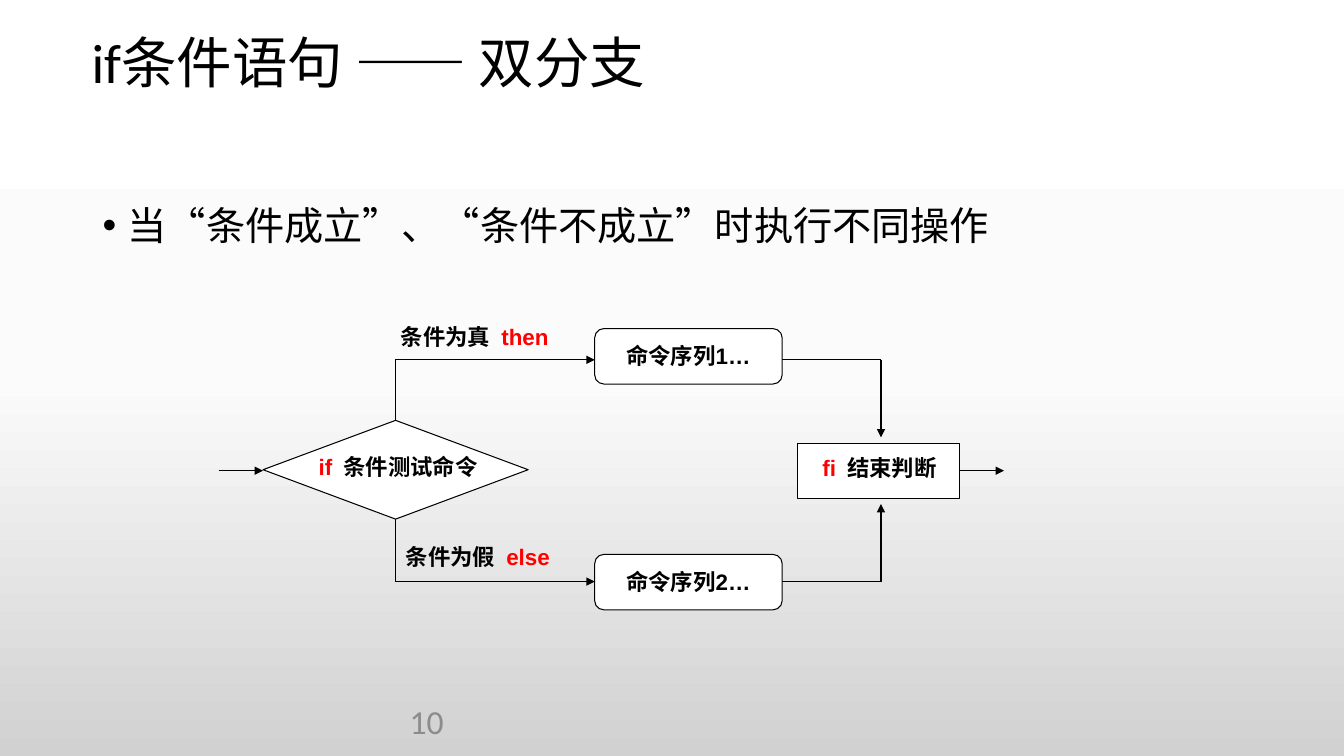
from copy import deepcopy
from dataclasses import dataclass

from lxml.etree import SubElement
from pptx import Presentation
from pptx.dml.color import RGBColor
from pptx.enum.lang import MSO_LANGUAGE_ID
from pptx.enum.shapes import MSO_CONNECTOR, MSO_SHAPE
from pptx.enum.text import MSO_ANCHOR, PP_ALIGN
from pptx.oxml.ns import qn
from pptx.util import Inches, Pt

# Grid: one column or row is a tenth of an inch
CELL = Inches(0.1)
COLUMNS, ROWS = 133.33, 75


@dataclass(frozen=True)
class Theme:
    ink: str = "000000"
    keyword: str = "FF0000"
    muted: str = "8C8C8C"
    paper: str = "FFFFFF"
    backdrop: tuple = ((0, "FFFFFF"), (0.5, "FBFBFB"), (1, "D1D1D1"))
    text_font: str = "Calibri"
    chart_font: str = "Arial"
    title: float = 39.6
    body: float = 28
    number: float = 24
    node: float = 16
    line: float = 0.75


THEME = Theme()


@dataclass(frozen=True)
class Box:
    left: float
    top: float
    width: float
    height: float

    def inner(self, left, top, width, height):
        return Box(self.left + left, self.top + top, width, height)

    def point(self, column, row):
        return cells(self.left + column), cells(self.top + row)

    def emu(self):
        return [cells(side) for side in (self.left, self.top, self.width, self.height)]


def cells(count):
    return round(count * CELL)


def add_text(page, box, spans, size, font=THEME.text_font, bold=False,
             align=PP_ALIGN.LEFT, anchor=MSO_ANCHOR.TOP, spacing=None, wrap=True):
    """Add one paragraph; spans is a list of (text, colour) pairs."""
    frame = page.shapes.add_textbox(*box.emu()).text_frame
    frame.word_wrap = wrap
    frame.vertical_anchor = anchor
    para = frame.paragraphs[0]
    para.alignment = align
    para.line_spacing = spacing
    for text, colour in spans:
        span = para.add_run()
        span.text = text
        span.font.name = font
        span.font.size = Pt(size)
        span.font.bold = bold
        span.font.color.rgb = RGBColor.from_string(colour)
        span.font.language_id = MSO_LANGUAGE_ID.SIMPLIFIED_CHINESE
    return para


def add_label(page, box, *spans):
    add_text(page, box, spans, THEME.node, font=THEME.chart_font, bold=True,
             align=PP_ALIGN.CENTER, wrap=False)


def add_node(page, box, kind):
    node = page.shapes.add_shape(kind, *box.emu())
    node.shadow.inherit = False
    node.fill.solid()
    node.fill.fore_color.rgb = RGBColor.from_string(THEME.paper)
    node.line.color.rgb = RGBColor.from_string(THEME.ink)
    node.line.width = Pt(THEME.line)


def add_route(page, box, *points):
    """Join the points with straight lines; the last one gets an arrowhead."""
    for start, end in zip(points, points[1:]):
        link = page.shapes.add_connector(
            MSO_CONNECTOR.STRAIGHT, *box.point(*start), *box.point(*end))
        link.line.color.rgb = RGBColor.from_string(THEME.ink)
        link.line.width = Pt(THEME.line)
        properties = link.element.spPr
        if end == points[-1]:
            SubElement(properties.find(qn("a:ln")), qn("a:tailEnd"), type="triangle")
        SubElement(properties, qn("a:effectLst"))


def paint_background(page):
    fill = page.background.fill
    fill.gradient()
    fill.gradient_angle = 270
    stop_list = next(page.element.iter(qn("a:gsLst")))
    stop_list.append(deepcopy(stop_list[-1]))
    for stop, (position, colour) in zip(fill.gradient_stops, THEME.backdrop):
        stop.position = position
        stop.color.rgb = RGBColor.from_string(colour)


def add_title(page, box):
    add_text(page, box, [("if条件语句 —— 双分支", THEME.ink)], THEME.title,
             anchor=MSO_ANCHOR.MIDDLE, spacing=0.9)


def add_body(page, box):
    para = add_text(page, box, [("当“条件成立”、“条件不成立”时执行不同操作", THEME.ink)],
                    THEME.body, spacing=0.9)
    para.space_before = Pt(10)
    properties = para._p.get_or_add_pPr()
    properties.set("marL", str(Inches(0.25)))
    properties.set("indent", str(-Inches(0.25)))
    SubElement(properties, qn("a:buFont"), typeface="Arial")
    SubElement(properties, qn("a:buChar"), char="•")


def add_flow(page, box):
    split, merge, middle = 17.5, 65.7, 15.1
    command, command_width, node_height, text_height = 37.3, 18.6, 5.5, 3.7

    # Two branches: row of the line, row where it meets the end node,
    # command top, label place and wording
    branches = (
        (4.1, 11.8, 1, (16.1, 0), "条件为真", "then", "命令序列1…"),
        (26.1, 18.4, 23.4, (16.4, 21.8), "条件为假", "else", "命令序列2…"),
    )
    for row, landing, top, place, condition, keyword, text in branches:
        add_route(page, box, (split, middle), (split, row), (command, row))
        add_route(page, box, (command + command_width, row), (merge, row), (merge, landing))
        add_node(page, box.inner(command, top, command_width, node_height),
                 MSO_SHAPE.FLOWCHART_ALTERNATE_PROCESS)
        add_label(page, box.inner(command, top + 0.9, command_width, text_height),
                  (text, THEME.ink))
        add_label(page, box.inner(*place, 18.6, text_height),
                  (condition + "\u2002", THEME.ink), (keyword, THEME.keyword))

    # Test and end of the statement
    add_node(page, box.inner(4.4, 10.1, 26.3, 9.8), MSO_SHAPE.FLOWCHART_DECISION)
    add_label(page, box.inner(6.4, 12.9, 22.8, text_height),
              ("if\u2002", THEME.keyword), ("条件测试命令", THEME.ink))
    add_node(page, box.inner(57.4, 12.4, 16.1, node_height), MSO_SHAPE.FLOWCHART_PROCESS)
    add_label(page, box.inner(58.5, 13, 14.1, text_height),
              ("fi\u2002", THEME.keyword), ("结束判断", THEME.ink))

    # Way in and way out
    for start, end in ((0, 4.4), (73.5, 77.9)):
        add_route(page, box, (start, middle), (end, middle))


def add_number(page, box):
    add_text(page, box, [("10", THEME.muted)], THEME.number,
             align=PP_ALIGN.RIGHT, anchor=MSO_ANCHOR.MIDDLE)


def build_branch_slide(deck, box):
    page = deck.slides.add_slide(deck.slide_layouts[6])
    paint_background(page)
    add_number(page, box.inner(21.7, 69.5, 23.3, 4))
    add_title(page, box.inner(8.1, 3.5, 63.4, 6))
    add_body(page, box.inner(9.2, 20, 115, 47.6))
    add_flow(page, box.inner(21.7, 31.6, 77.9, 28.9))


deck = Presentation()
deck.slide_width, deck.slide_height = cells(COLUMNS), cells(ROWS)
build_branch_slide(deck, Box(0, 0, COLUMNS, ROWS))
deck.save("out.pptx")
